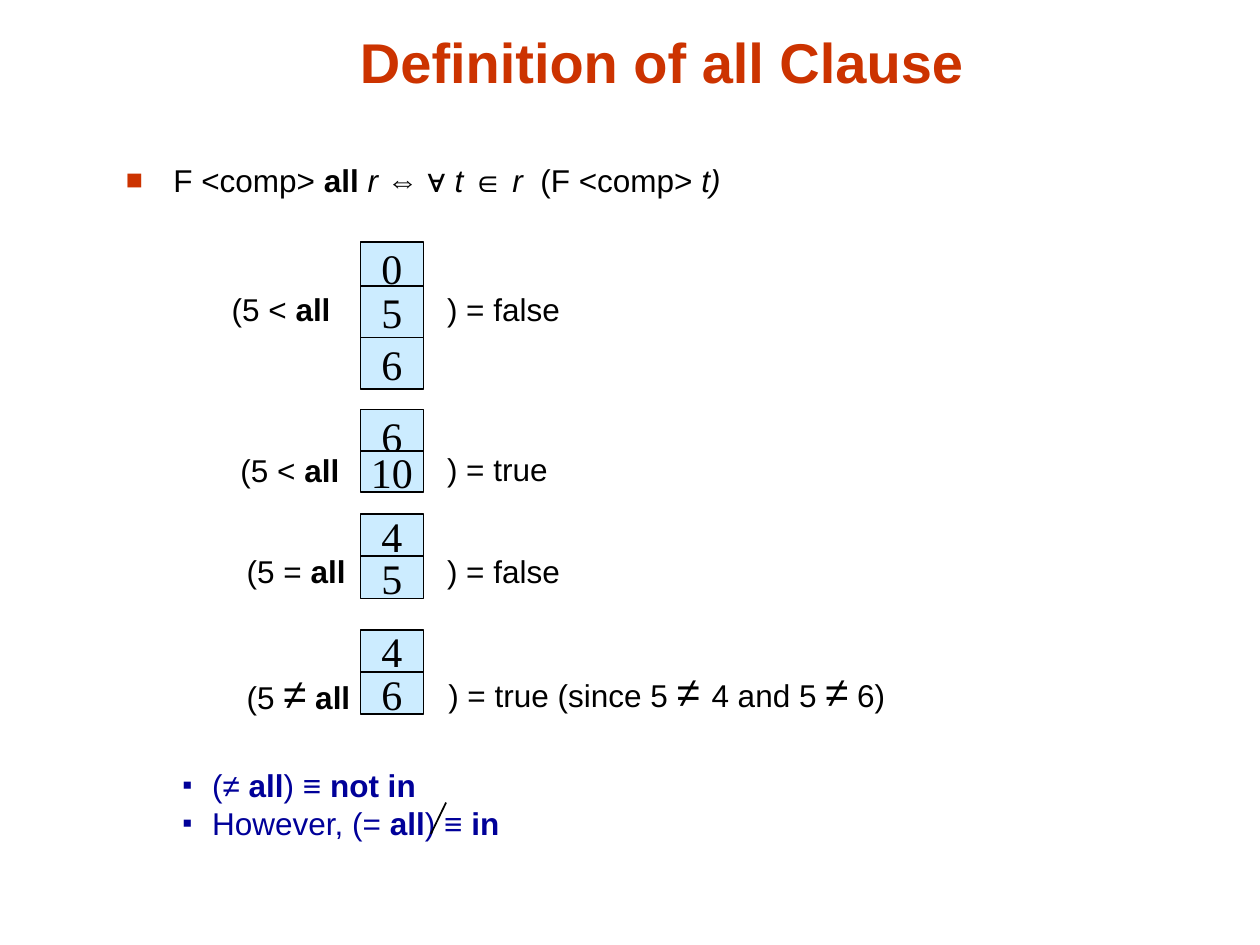
"""Build the slide that defines the SQL all clause."""
from lxml.etree import SubElement
from pptx import Presentation
from pptx.dml.color import RGBColor
from pptx.enum.shapes import MSO_CONNECTOR, MSO_SHAPE
from pptx.enum.text import MSO_ANCHOR, PP_ALIGN
from pptx.oxml.ns import qn
from pptx.util import Pt

BLACK = RGBColor(0x00, 0x00, 0x00)
RED = RGBColor(0xCC, 0x33, 0x00)
NAVY = RGBColor(0x00, 0x00, 0x99)
PALE = RGBColor(0xCC, 0xEC, 0xFF)


def add_box(left, top, width, height):
    box = slide.shapes.add_textbox(Pt(left), Pt(top), Pt(width), Pt(height))
    box.text_frame.word_wrap = True
    return box.text_frame


def add_runs(para, runs, color=BLACK, face="Arial"):
    for text, style, size in runs:
        run = para.add_run()
        run.text = text
        font = run.font
        font.name = face
        font.size = Pt(size)
        font.bold = style == "b"
        font.italic = style == "i"
        font.color.rgb = color


deck = Presentation()
deck.slide_width, deck.slide_height = Pt(720), Pt(540)
slide = deck.slides.add_slide(deck.slide_layouts[6])

title = add_box(60.5, 9.4, 635.8, 48.2)
title.vertical_anchor = MSO_ANCHOR.BOTTOM
title.paragraphs[0].alignment = PP_ALIGN.CENTER
add_runs(title.paragraphs[0], [("Definition of all Clause", "b", 32)], RED)

rule = [
    ("F <comp> ", "", 18), ("all ", "b", 18), ("r ", "i", 18),
    ("⇔ ∀ ", "", 18), ("t ", "i", 18), ("∈ ", "", 18),
    ("r ", "i", 18), (" (F <comp> ", "", 18), ("t)", "i", 18),
]
notes = [
    [("(≠ ", "", 18), ("all", "b", 18), (") ≡ ", "", 18), ("not in", "b", 18)],
    [("However, (= ", "", 18), ("all", "b", 18), (") ≡ ", "", 18), ("in", "b", 18)],
]
lists = [
    ((64.8, 88.6, 522.7, 30.2), [rule], "■", RED, BLACK, 27.2),
    ((97.2, 434.2, 535.7, 59), notes, "▪", NAVY, NAVY, 17),
]
for place, lines, mark, tint, ink, indent in lists:
    frame = add_box(*place)
    for num, line in enumerate(lines):
        para = frame.add_paragraph() if num else frame.paragraphs[0]
        props = para._p.get_or_add_pPr()
        props.set("marL", str(Pt(indent)))
        props.set("indent", str(-Pt(indent)))
        SubElement(SubElement(props, qn("a:buClr")), qn("a:srgbClr"), val=str(tint))
        SubElement(props, qn("a:buSzPct"), val="90000")
        SubElement(props, qn("a:buFont"), typeface="Arial")
        SubElement(props, qn("a:buChar"), char=mark)
        add_runs(para, line, ink)

cells = [
    ("0", 138.2, 29.5), ("5", 163.4, 29.5), ("6", 192.9, 29.5),
    ("6", 234, 30.2), ("10", 257.8, 23.3),
    ("4", 293.8, 24.1), ("5", 317.9, 24.1),
    ("4", 360, 24.1), ("6", 384.1, 24.1),
]
for value, top, height in cells:
    cell = slide.shapes.add_shape(MSO_SHAPE.RECTANGLE, Pt(206), Pt(top), Pt(36), Pt(height))
    cell.shadow.inherit = False
    cell.fill.solid()
    cell.fill.fore_color.rgb = PALE
    cell.line.color.rgb = BLACK
    cell.line.width = Pt(1)
    frame = cell.text_frame
    frame.word_wrap = False
    frame.vertical_anchor = MSO_ANCHOR.MIDDLE
    frame.paragraphs[0].alignment = PP_ALIGN.CENTER
    add_runs(frame.paragraphs[0], [(value, "", 24)], face="Times New Roman")

less = [("(5 < ", "", 18), ("all", "b", 18)]
same = [("(5 = ", "", 18), ("all", "b", 18)]
other = [("(5 ", "", 18), ("≠", "", 24), (" ", "", 18), ("all", "b", 18)]
wrong = [(") = false", "", 18)]
right = [(") = true", "", 18)]
since = [
    (") = true (since 5 ", "", 18), ("≠ ", "", 24), ("4 and 5 ", "", 18),
    ("≠", "", 24), (" 6)", "", 18),
]
labels = [
    (125.3, 162, 95.8, less), (248.4, 162, 95.8, wrong),
    (130.3, 254.2, 95.8, less), (248.4, 253.4, 95.8, right),
    (133.9, 311.8, 95.8, same), (248.4, 311.8, 95.8, wrong),
    (133.9, 378, 131.8, other), (249.1, 376.6, 360, since),
]
for left, top, width, runs in labels:
    add_runs(add_box(left, top, width, 28.8).paragraphs[0], runs)

slash = slide.shapes.add_connector(
    MSO_CONNECTOR.STRAIGHT, Pt(254.9), Pt(458.6), Pt(246.2), Pt(476.6))
slash.line.color.rgb = BLACK
slash.line.width = Pt(1)
SubElement(slash._element.spPr, qn("a:effectLst"))

deck.save("out.pptx")
